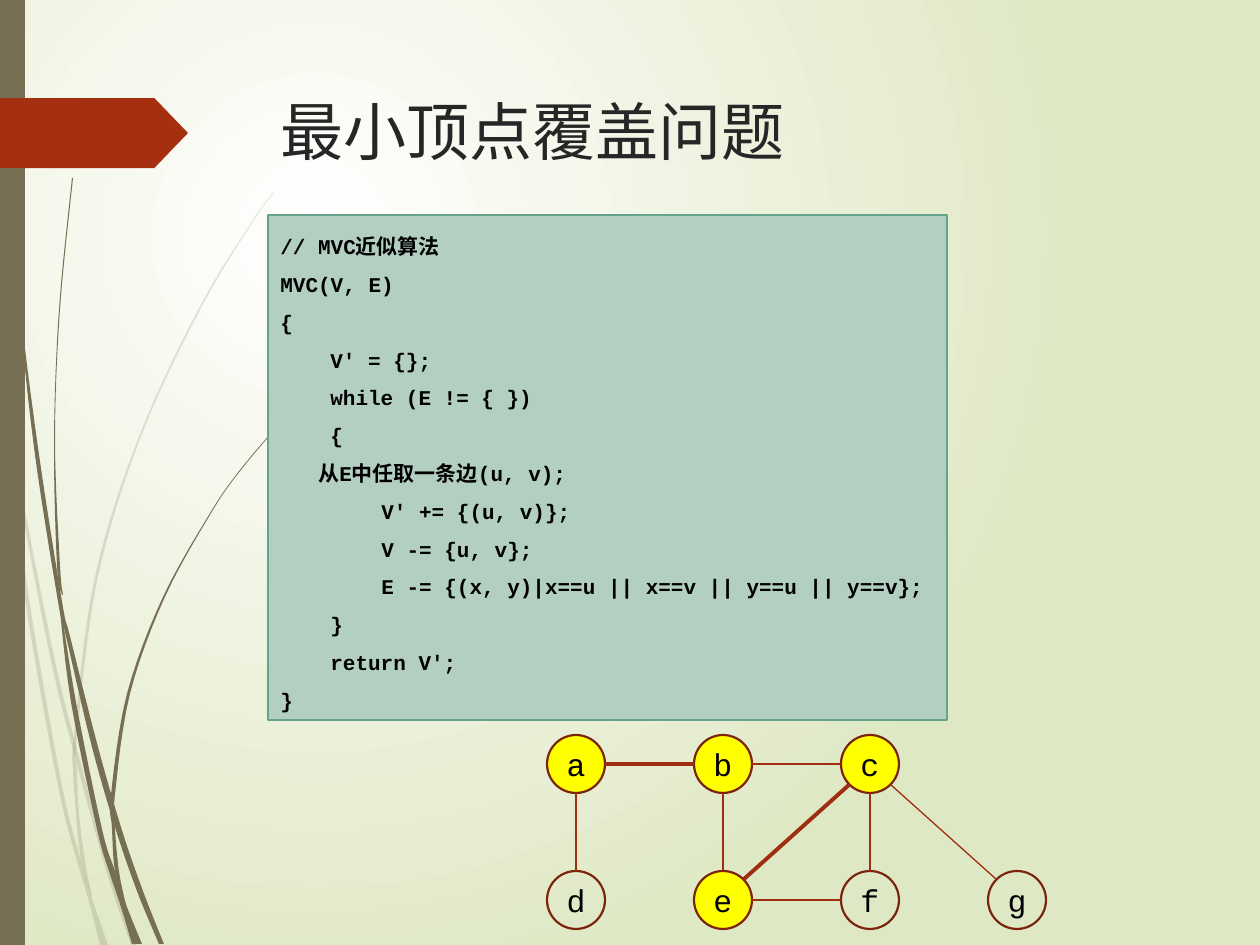
from math import hypot

from lxml import etree
from pptx import Presentation
from pptx.dml.color import RGBColor
from pptx.enum.shapes import MSO_CONNECTOR, MSO_SHAPE
from pptx.enum.text import MSO_ANCHOR, PP_ALIGN
from pptx.oxml import parse_xml
from pptx.oxml.ns import nsdecls, qn
from pptx.util import Pt

PX = 914400 / 126
W, H = 1260, 945

WHITE = RGBColor(0xFF, 0xFF, 0xFF)
PALE_GREEN = RGBColor(0xDF, 0xE8, 0xC4)
OLIVE = RGBColor(0x76, 0x6F, 0x54)
RED = RGBColor(0xA5, 0x30, 0x10)
EDGE_RED = RGBColor(0x9E, 0x2E, 0x0F)
NODE_RED = RGBColor(0x7A, 0x24, 0x0C)
YELLOW = RGBColor(0xFF, 0xFF, 0x00)
CODE_FILL = RGBColor(0xB3, 0xCF, 0xC2)
CODE_LINE = RGBColor(0x65, 0xA4, 0x8B)
INK = RGBColor(0x26, 0x26, 0x26)
BLACK = RGBColor(0, 0, 0)

# Grass stems: rows of y, left x, right x
BACK_STEMS = [
    [(355, 0, 0), (377, 0, 3), (406, 4, 8), (441, 9, 14), (474, 15, 18),
     (656, 50, 54), (753, 74, 78), (873, 107, 111), (945, 131, 136)],
    [(441, 10, 11), (474, 13, 15), (592, 24, 28), (781, 57, 61),
     (861, 77, 81), (898, 88, 92), (945, 100, 108)],
    [(193, 273, 274), (220, 253, 254), (308, 199, 201), (439, 138, 140),
     (581, 94, 97), (736, 74, 77), (769, 73, 77), (814, 76, 79),
     (861, 81, 85), (896, 91, 92)],
]
FRONT_STEMS = [
    [(0, 2, 4), (139, 6, 7), (294, 18, 19), (447, 34, 38), (601, 58, 62),
     (636, 66, 70), (743, 91, 97), (827, 115, 121), (891, 137, 143),
     (944, 159, 164)],
    [(601, 59, 60), (702, 71, 76), (829, 97, 102), (871, 109, 115),
     (907, 121, 127), (944, 132, 142)],
    [(178, 72, 73), (309, 59, 60), (440, 54, 55), (566, 57, 60),
     (595, 62, 63)],
    [(433, 271, 272), (470, 240, 241), (510, 212, 213), (597, 163, 165),
     (694, 127, 130), (795, 111, 115), (827, 112, 115), (871, 115, 119),
     (905, 125, 126)],
]

# Code lines: indent in px, text
CODE = [
    (0, "// MVC近似算法"),
    (0, "MVC(V, E)"),
    (0, "{"),
    (50, "V' = {};"),
    (50, "while (E != { })"),
    (50, "{"),
    (38, "从E中任取一条边(u, v);"),
    (101, "V' += {(u, v)};"),
    (101, "V -= {u, v};"),
    (101, "E -= {(x, y)|x==u || x==v || y==u || y==v};"),
    (50, "}"),
    (50, "return V';"),
    (0, "}"),
]

# Graph: column and row of each node; pairs of nodes
NODES = {"a": (0, 0), "b": (1, 0), "c": (2, 0),
         "d": (0, 1), "e": (1, 1), "f": (2, 1), "g": (3, 1)}
COVER = "abce"
EDGES = ["ad", "ab", "bc", "be", "ce", "cf", "ef", "cg"]
CHOSEN = ["ab", "ce"]


def emu(*lengths):
    return [round(v * PX) for v in lengths]


def paint(sp, fill=None, line=None, width=0.75):
    sp.shadow.inherit = False
    if fill is None:
        sp.fill.background()
    else:
        sp.fill.solid()
        sp.fill.fore_color.rgb = fill
    if line is None:
        sp.line.fill.background()
    else:
        sp.line.color.rgb = line
        sp.line.width = Pt(width)


def add_box(s, kind, box, fill=None, line=None, width=0.75):
    sp = s.shapes.add_shape(kind, *emu(*box))
    paint(sp, fill, line, width)
    return sp


def style(p, font, size, color, bold=False):
    p.font.name, p.font.size, p.font.bold = font, Pt(size), bold
    p.font.color.rgb = color


def add_background(s):
    fill = s.background.fill
    fill.gradient()
    for stop, color in zip(fill.gradient_stops, (WHITE, PALE_GREEN)):
        stop.color.rgb = color
    lin = next(s.background._cSld.iter(qn("a:lin")))
    lin.getparent().replace(lin, parse_xml(
        f'<a:path {nsdecls("a")} path="circle"><a:fillToRect l="50000" '
        't="50000" r="100000" b="100000"/></a:path>'))


def smooth(rows, steps=6):
    """Catmull-Rom points through the rows."""
    padded = [rows[0], *rows, rows[-1]]
    out = []
    for quad in zip(padded, padded[1:], padded[2:], padded[3:]):
        for i in range(steps):
            t = i / steps
            out.append([(2 * b + (c - a) * t
                         + (2 * a - 5 * b + 4 * c - d) * t ** 2
                         + (3 * b - a - 3 * c + d) * t ** 3) / 2
                        for a, b, c, d in zip(*quad)])
    return out + [rows[-1]]


def add_stem(s, rows, alpha=100):
    curve = smooth(rows)
    outline = ([emu(xl, y) for y, xl, xr in curve]
               + [emu(xr, y) for y, xl, xr in reversed(curve)])
    builder = s.shapes.build_freeform(*outline[0])
    builder.add_line_segments(outline[1:])
    sp = builder.convert_to_shape()
    paint(sp, OLIVE)
    if alpha < 100:
        color = next(sp.fill._xPr.iter(qn("a:srgbClr")))
        etree.SubElement(color, qn("a:alpha")).set("val", str(alpha * 1000))


def add_decoration(s):
    for rows in BACK_STEMS:
        add_stem(s, rows, 20)
    for rows in FRONT_STEMS:
        add_stem(s, rows)
    add_box(s, MSO_SHAPE.RECTANGLE, (0, 0, 25, H), OLIVE)
    arrow = add_box(s, MSO_SHAPE.PENTAGON, (0, 98, 188, 70), RED)
    arrow.adjustments[0] = 0.48


def add_title(s, box, text):
    tf = s.shapes.add_textbox(*emu(*box)).text_frame
    tf.word_wrap = True
    p = tf.paragraphs[0]
    p.text = text
    style(p, "League Spartan", 36, INK)


def add_code(s, box):
    tf = add_box(s, MSO_SHAPE.RECTANGLE, box, CODE_FILL, CODE_LINE).text_frame
    tf.word_wrap = True
    tf.vertical_anchor = MSO_ANCHOR.TOP
    for i, (indent, text) in enumerate(CODE):
        p = tf.add_paragraph() if i else tf.paragraphs[0]
        p.text = text
        p.alignment = PP_ALIGN.LEFT
        p.line_spacing = 1.5
        p._p.get_or_add_pPr().set("marL", str(emu(indent)[0]))
        style(p, "Courier New", 12, BLACK, True)


def add_graph(s, left, top, size=58, dx=147, dy=136):
    r = size / 2
    centers = {n: (left + c * dx + r, top + row * dy + r)
               for n, (c, row) in NODES.items()}

    # Nodes
    for name, (x, y) in centers.items():
        sp = add_box(s, MSO_SHAPE.OVAL, (x - r, y - r, size, size),
                     YELLOW if name in COVER else None, NODE_RED, 1.25)
        tf = sp.text_frame
        tf.word_wrap = False
        tf.vertical_anchor = MSO_ANCHOR.MIDDLE
        p = tf.paragraphs[0]
        p.text = name
        p.alignment = PP_ALIGN.CENTER
        style(p, "Courier New", 18, BLACK)

    # Edges leave each circle straight or at 45 degrees
    for edge in EDGES:
        (x1, y1), (x2, y2) = (centers[n] for n in edge)
        ux, uy = ((b > a) - (b < a) for a, b in ((x1, x2), (y1, y2)))
        k = r / hypot(ux, uy)
        line = s.shapes.add_connector(
            MSO_CONNECTOR.STRAIGHT,
            *emu(x1 + k * ux, y1 + k * uy, x2 - k * ux, y2 - k * uy))
        line.line.color.rgb = EDGE_RED
        line.line.width = Pt(2.25 if edge in CHOSEN else 0.75)
        etree.SubElement(line._element.spPr, qn("a:effectLst"))


def main():
    prs = Presentation()
    prs.slide_width, prs.slide_height = emu(W, H)
    s = prs.slides.add_slide(prs.slide_layouts[6])
    add_background(s)
    add_decoration(s)
    add_title(s, (268, 86, 908, 176), "最小顶点覆盖问题")
    add_code(s, (268, 215, 679, 505))
    add_graph(s, 547, 735)
    prs.save("out.pptx")


if __name__ == "__main__":
    main()
